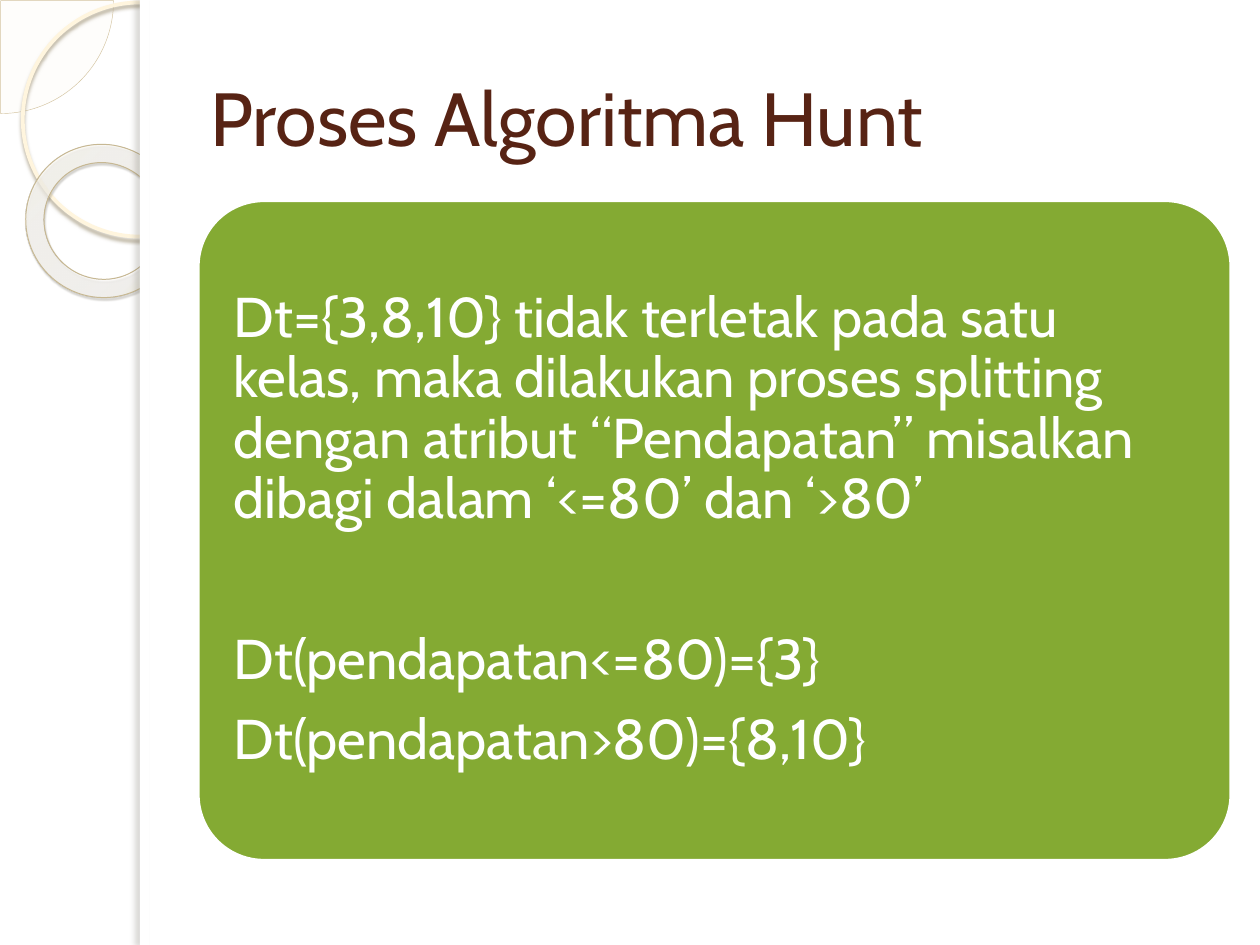
from dataclasses import dataclass

from lxml.etree import SubElement
from pptx import Presentation
from pptx.dml.color import RGBColor
from pptx.enum.shapes import MSO_SHAPE as Kind
from pptx.enum.text import MSO_ANCHOR as Anchor
from pptx.oxml.ns import qn
from pptx.util import Cm, Pt


@dataclass(frozen=True)
class Theme:
    font: str = "Cabin"
    head: str = "572314"
    card: str = "84AA33"
    white: str = "FFFFFF"
    pie: str = "FEFAF4"
    edge: str = "D3C39F"
    ring: str = "FFF5DE"
    rim: str = "C7B893"
    glow: tuple = ((0, "FFFCF6", 70), (70, "FFFEFB", 55), (100, "F0D28E", 60))
    big: int = 43
    mid: int = 32


def add(node, tag, **attrs):
    return SubElement(node, qn(tag), {k: str(v) for k, v in attrs.items()})


def tint(node, color, alpha):
    """Add a colour with its opacity in percent."""
    add(add(node, "a:srgbClr", val=color), "a:alpha", val=alpha * 1000)


class Deck:
    def __init__(self, theme):
        self.theme = theme
        self.prs = Presentation()
        self.prs.slide_width, self.prs.slide_height = Cm(25.4), Cm(19.05)
        self.slide = self.prs.slides.add_slide(self.prs.slide_layouts[6])

    def shape(self, kind, box, fill=None, line=None, width=1, adj=(), turn=0):
        item = self.slide.shapes.add_shape(kind, *map(Cm, box))
        item.shadow.inherit = False
        item.rotation = turn
        for i, val in enumerate(adj):
            item.adjustments[i] = val
        if fill:
            item.fill.solid()
            item.fill.fore_color.rgb = RGBColor.from_string(fill)
        else:
            item.fill.background()
        if line:
            item.line.color.rgb = RGBColor.from_string(line)
            item.line.width = Pt(width)
        else:
            item.line.fill.background()
        return item

    def fade(self, item, alpha):
        """Make a solid fill partly transparent."""
        color = item.element.spPr.find(qn("a:solidFill")).find(qn("a:srgbClr"))
        add(color, "a:alpha", val=alpha * 1000)

    def shade(self, item, color, alpha, blur, dist, angle):
        """Cast an outer shadow."""
        node = add(item.element.spPr.find(qn("a:effectLst")), "a:outerShdw",
                   blurRad=Pt(blur), dist=Pt(dist), dir=angle * 60000,
                   algn="tl", rotWithShape=0)
        tint(node, color, alpha)

    def blend(self, item, stops):
        """Swap an empty fill for a circular gradient."""
        props = item.element.spPr
        old = props.find(qn("a:noFill"))
        grad = add(props, "a:gradFill", rotWithShape=1)
        props.replace(old, grad)
        group = add(grad, "a:gsLst")
        for pos, color, alpha in stops:
            tint(add(group, "a:gs", pos=pos * 1000), color, alpha)
        add(add(grad, "a:path", path="circle"), "a:fillToRect",
            l=-408000, t=-50000, r=508000, b=150000)

    def text(self, box, lines, size, color, pad=None, gaps=(), pitch=None):
        frame = self.slide.shapes.add_textbox(*map(Cm, box)).text_frame
        frame.word_wrap = True
        frame.vertical_anchor = Anchor.MIDDLE
        if pad is not None:
            frame.margin_left = frame.margin_right = Cm(pad)
            frame.margin_top = frame.margin_bottom = Cm(pad)
        frame.text = "\n".join(lines)
        for par in frame.paragraphs:
            par.line_spacing = pitch
            for run in par.runs:
                run.font.name = self.theme.font
                run.font.size = Pt(size)
                run.font.color.rgb = RGBColor.from_string(color)
        for par, gap in zip(frame.paragraphs, gaps):
            par.space_after = Pt(gap)

    def save(self):
        self.prs.save("out.pptx")


def main():
    look = Theme()
    deck = Deck(look)

    pie = deck.shape(Kind.PIE, (-2.26, -2.26, 4.55, 4.55), look.pie,
                     look.edge, 0.25, adj=(0, 54))
    deck.fade(pie, 33)
    ring = deck.shape(Kind.OVAL, (0.46, 0.05, 4.72, 4.72),
                      line=look.ring, width=2.15)
    deck.shade(ring, "B0A68F", 85, 2, 2, 90)
    donut = deck.shape(Kind.DONUT, (0.51, 2.92, 3.12, 3.07), line=look.rim,
                       width=0.58, adj=(0.12,), turn=38.6)
    deck.blend(donut, look.glow)
    deck.shade(donut, "5A5444", 35, 1, 1.2, 75)

    side = 2.82
    deck.shape(Kind.RECTANGLE, (side, 0, 25.4 - side, 19.05), look.white)
    strip = deck.shape(Kind.RECTANGLE, (side, 0, 0.2, 19.05), look.white)
    deck.shade(strip, "736F63", 25, 3, 3, 180)

    left, width = 3.99, 20.83
    deck.text((left, 0.76, width, 3.18), ["Proses Algoritma Hunt"],
              look.big, look.head)

    top, height, inset = 4.04, 13.31, 0.39
    deck.shape(Kind.ROUNDED_RECTANGLE, (left, top, width, height),
               look.card, look.white, 2, adj=(0.1,))
    deck.text(
        (left + inset, top + inset, width - 2 * inset, height - 2 * inset),
        ["Dt={3,8,10} tidak terletak pada satu kelas, maka dilakukan proses "
         "splitting dengan atribut “Pendapatan” misalkan dibagi dalam "
         "‘<=80’ dan ‘>80’",
         "Dt(pendapatan<=80)={3}",
         "Dt(pendapatan>80)={8,10}"],
        look.mid, look.white, pad=0.33, gaps=(57.4, 11.2, 11.2), pitch=0.9)
    deck.save()


if __name__ == "__main__":
    main()
